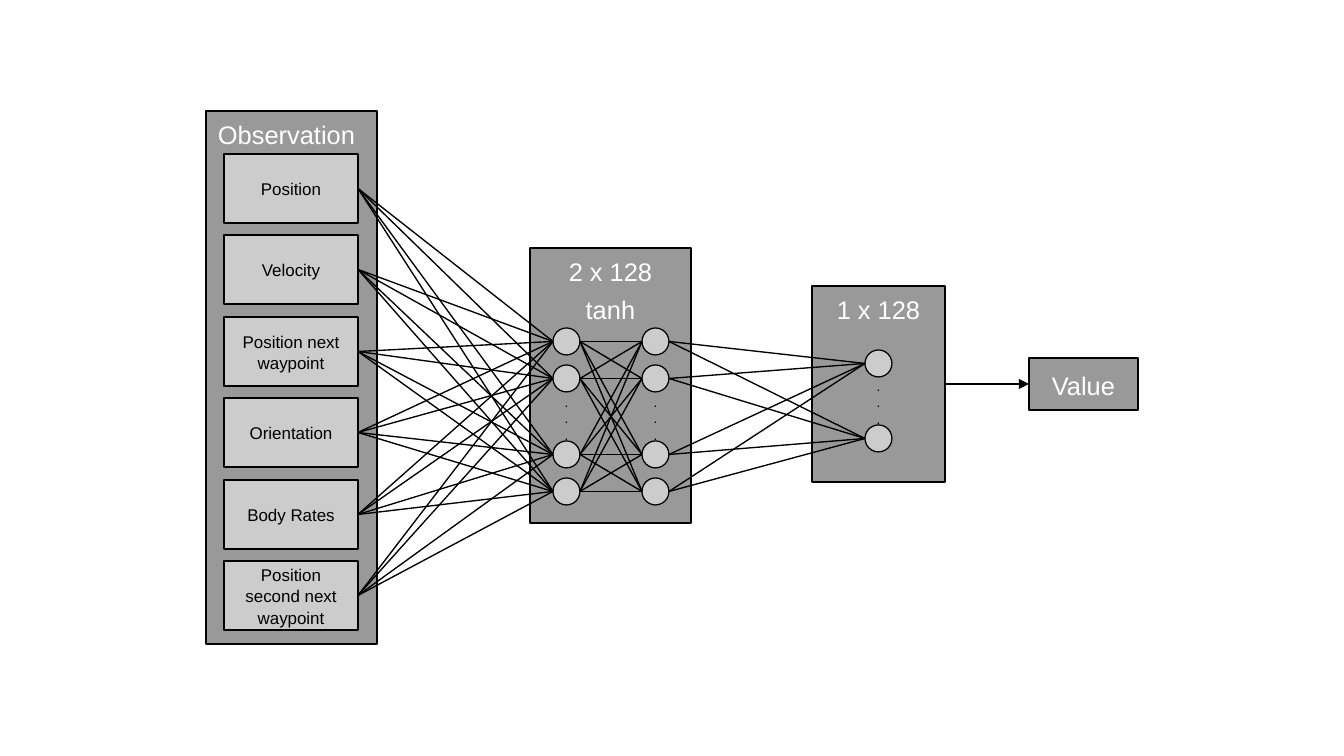
from itertools import product

from lxml import etree
from pptx import Presentation
from pptx.dml.color import RGBColor
from pptx.enum.shapes import MSO_CONNECTOR, MSO_SHAPE
from pptx.enum.text import MSO_ANCHOR, PP_ALIGN
from pptx.oxml.ns import qn
from pptx.util import Pt

RECTANGLE, OVAL = MSO_SHAPE.RECTANGLE, MSO_SHAPE.OVAL
STRAIGHT = MSO_CONNECTOR.STRAIGHT
TOP, MIDDLE = MSO_ANCHOR.TOP, MSO_ANCHOR.MIDDLE
LEFT, CENTER = PP_ALIGN.LEFT, PP_ALIGN.CENTER
LEFT_SIDE, RIGHT_SIDE = 1, 3

EMU_PER_PX = 7495
COLORS = {"panel": "999999", "item": "CCCCCC", "ink": "000000", "light": "FFFFFF"}
FONT = "Arial"
LINE_WIDTH = Pt(0.79)
NODE_SIZE = 27
FEATURES = [
    "Position",
    "Velocity",
    "Position next waypoint",
    "Orientation",
    "Body Rates",
    "Position second next waypoint",
]
HIDDEN_TOPS = [328, 365, 441, 478]
OUTPUT_TOPS = [350, 425]


def px(*lengths):
    return [length * EMU_PER_PX for length in lengths]


def color(name):
    return RGBColor.from_string(COLORS[name])


def write(shape, lines, size, ink, align=CENTER, anchor=TOP, before=2.9, spacing=1.07):
    frame = shape.text_frame
    frame.word_wrap = True
    frame.vertical_anchor = anchor
    for index, line in enumerate(lines):
        para = frame.add_paragraph() if index else frame.paragraphs[0]
        para.alignment = align
        para.space_before = Pt(before)
        para.line_spacing = spacing
        span = para.add_run()
        span.text = line
        span.font.size = Pt(size)
        span.font.name = FONT
        span.font.color.rgb = color(ink)


def add_filled(page, kind, bounds, fill, line_width):
    shape = page.shapes.add_shape(kind, *px(*bounds))
    shape.shadow.inherit = False
    shape.fill.solid()
    shape.fill.fore_color.rgb = color(fill)
    shape.line.color.rgb = color("ink")
    shape.line.width = line_width
    return shape


def add_panel(page, bounds, lines, **layout):
    panel = add_filled(page, RECTANGLE, bounds, "panel", LINE_WIDTH)
    write(panel, lines, 15, "light", **layout)
    return panel


def add_features(page):
    boxes = []
    for index, name in enumerate(FEATURES):
        bounds = (224, 154 + index * 163 // 2, 134, 69)
        box = add_filled(page, RECTANGLE, bounds, "item", LINE_WIDTH)
        write(box, [name], 10, "ink", anchor=MIDDLE)
        boxes.append(box)
    return boxes


def add_layer(page, left, tops, dots_top):
    nodes = [
        add_filled(page, OVAL, (left, top, NODE_SIZE, NODE_SIZE), "item", Pt(0))
        for top in tops
    ]
    dots = page.shapes.add_textbox(*px(left, dots_top, NODE_SIZE, 57))
    dots.text_frame.margin_left = dots.text_frame.margin_right = 0
    write(dots, ["."] * 3, 8, "ink", before=0, spacing=1.0)
    return nodes


def add_link(page, source, target, width=LINE_WIDTH):
    link = page.shapes.add_connector(
        STRAIGHT,
        source.left + source.width,
        source.top + source.height // 2,
        target.left,
        target.top + target.height // 2,
    )
    if source.auto_shape_type == RECTANGLE:
        link.begin_connect(source, RIGHT_SIDE)
    if target.auto_shape_type == RECTANGLE:
        link.end_connect(target, LEFT_SIDE)
    link.line.color.rgb = color("ink")
    link.line.width = width
    etree.SubElement(link._element.spPr, qn("a:effectLst"))
    return link


def add_arrow(page, source, target):
    arrow = add_link(page, source, target, Pt(1))
    etree.SubElement(arrow.line._get_or_add_ln(), qn("a:tailEnd"), type="triangle")


def link_layers(page, sources, targets):
    for source, target in product(sources, targets):
        add_link(page, source, target)


def main():
    deck = Presentation()
    deck.slide_width, deck.slide_height = px(1344, 756)
    page = deck.slides.add_slide(deck.slide_layouts[6])

    output_panel = add_panel(page, (812, 286, 133, 196), ["1 x 128"])
    output_nodes = add_layer(page, 865, OUTPUT_TOPS, 372)
    add_panel(page, (206, 111, 171, 533), ["Observation"], align=LEFT, before=0)
    features = add_features(page)
    value = add_panel(page, (1029, 358, 109, 52), ["Value"], anchor=MIDDLE)
    add_panel(page, (530, 248, 161, 275), ["2 x 128", "tanh"])
    first_nodes, second_nodes = [
        add_layer(page, left, HIDDEN_TOPS, 388) for left in (553, 642)
    ]

    layers = [features, first_nodes, second_nodes, output_nodes]
    for sources, targets in zip(layers, layers[1:]):
        link_layers(page, sources, targets)
    add_arrow(page, output_panel, value)

    deck.save("out.pptx")


if __name__ == "__main__":
    main()
